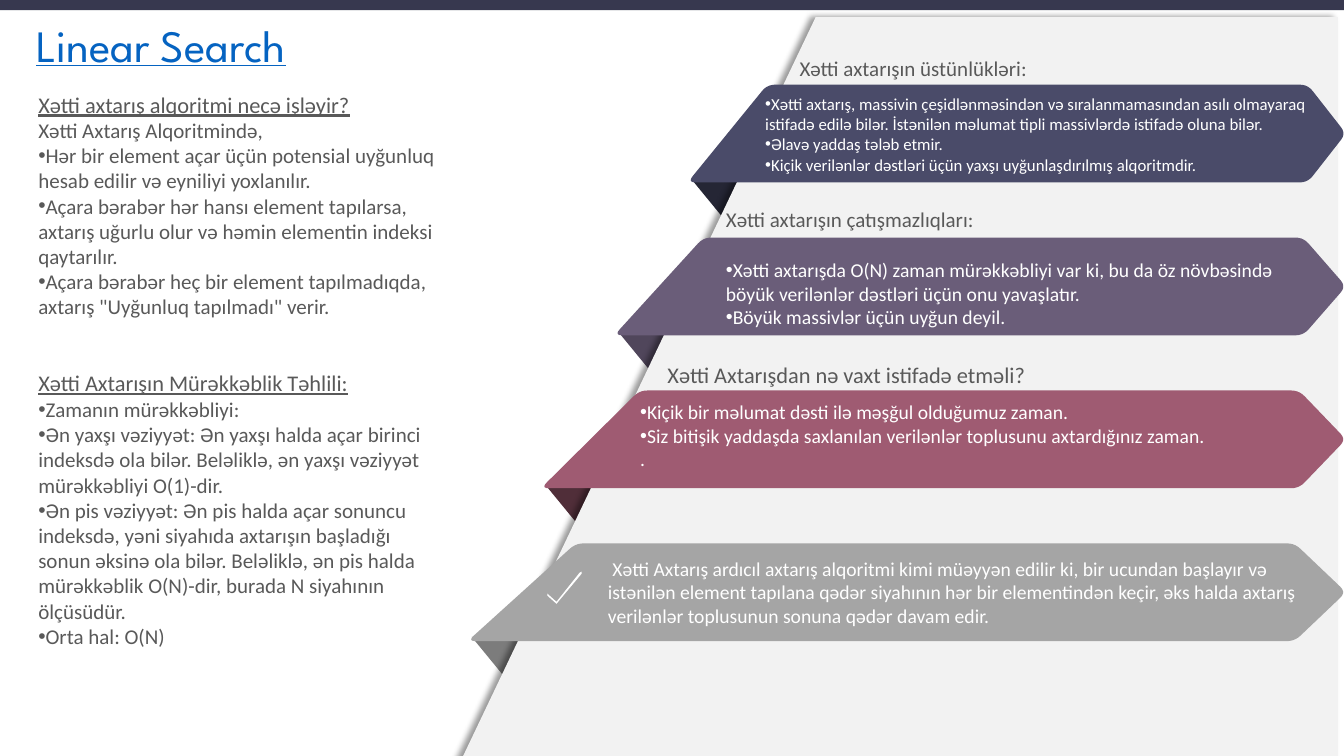
from dataclasses import dataclass

from lxml import etree
from pptx import Presentation
from pptx.dml.color import RGBColor
from pptx.enum.shapes import MSO_SHAPE
from pptx.enum.text import MSO_ANCHOR, MSO_AUTO_SIZE, PP_ALIGN
from pptx.oxml.ns import qn
from pptx.util import Inches, Pt

RECT = MSO_SHAPE.RECTANGLE
TOP = MSO_ANCHOR.TOP
LEFT = PP_ALIGN.LEFT
FIXED = MSO_AUTO_SIZE.NONE

COLORS = {
    "bar": "37384F", "panel": "F2F2F2", "title": "0563C1",
    "gray": "595959", "white": "FFFFFF", "black": "000000",
    "navy": "4A4B69", "purple": "6A5D79", "rose": "9F5B72", "silver": "A5A5A5",
    "navy fold": "252635", "purple fold": "50465B",
    "rose fold": "502E39", "silver fold": "7C7C7C",
}
Point = tuple[float, float]
Box = tuple[float, float, float, float]


@dataclass
class Line:
    text: str
    size: float
    bullet: bool = False
    under: bool = False
    before: float = 0


@dataclass
class Block:
    box: Box
    lines: list[Line]
    color: str


def bullets(size: float, *texts: str) -> list[Line]:
    return [Line(text, size, bullet=True) for text in texts]


BANDS = ["navy", "purple", "rose", "silver"]
BLOCKS = [
    Block((0.38, 0.9, 4.01, 6.28), [
        Line("Xətti axtarış alqoritmi necə işləyir?", 16, under=True),
        Line("Xətti Axtarış Alqoritmində,", 15),
        *bullets(
            15,
            "Hər bir element açar üçün potensial uyğunluq hesab edilir və eyniliyi yoxlanılır.",
            "Açara bərabər hər hansı element tapılarsa, axtarış uğurlu olur və həmin "
            "elementin indeksi qaytarılır.",
            "Açara bərabər heç bir element tapılmadıqda, axtarış \"Uyğunluq tapılmadı\" verir.",
        ),
        Line("Xətti Axtarışın Mürəkkəblik Təhlili:", 16, under=True, before=36),
        *bullets(
            15,
            "Zamanın mürəkkəbliyi:",
            "Ən yaxşı vəziyyət: Ən yaxşı halda açar birinci indeksdə ola bilər. "
            "Beləliklə, ən yaxşı vəziyyət mürəkkəbliyi O(1)-dir.",
            "Ən pis vəziyyət: Ən pis halda açar sonuncu indeksdə, yəni siyahıda axtarışın "
            "başladığı sonun əksinə ola bilər. Beləliklə, ən pis halda mürəkkəblik "
            "O(N)-dir, burada N siyahının ölçüsüdür.",
            "Orta hal: O(N)",
        ),
    ], "gray"),
    Block((7.93, 0.55, 3.57, 0.27), [Line("Xətti axtarışın üstünlükləri:", 15)], "gray"),
    Block((7.59, 0.93, 5.66, 0.85), bullets(
        12,
        "Xətti axtarış, massivin çeşidlənməsindən və sıralanmamasından asılı olmayaraq "
        "istifadə edilə bilər. İstənilən məlumat tipli massivlərdə istifadə oluna bilər.",
        "Əlavə yaddaş tələb etmir.",
        "Kiçik verilənlər dəstləri üçün yaxşı uyğunlaşdırılmış alqoritmdir.",
    ), "white"),
    Block((7.2, 2.05, 5.75, 0.27), [Line("Xətti axtarışın çatışmazlıqları:", 15)], "gray"),
    Block((7.2, 2.56, 5.75, 0.72), bullets(
        14,
        "Xətti axtarışda O(N) zaman mürəkkəbliyi var ki, bu da öz növbəsində böyük "
        "verilənlər dəstləri üçün onu yavaşlatır.",
        "Böyük massivlər üçün uyğun deyil.",
    ), "white"),
    Block((6.62, 3.58, 4, 0.28),
          [Line("Xətti Axtarışdan nə vaxt istifadə etməli?", 16)], "gray"),
    Block((6.35, 3.97, 6.02, 0.71), [
        *bullets(
            14,
            "Kiçik bir məlumat dəsti ilə məşğul olduğumuz zaman.",
            "Siz bitişik yaddaşda saxlanılan verilənlər toplusunu axtardığınız zaman.",
        ),
        Line(".", 14),
    ], "white"),
    Block((6.03, 5.52, 7.08, 0.71), [
        Line(" Xətti Axtarış ardıcıl axtarış alqoritmi kimi müəyyən edilir ki, bir ucundan "
             "başlayır və istənilən element tapılana qədər siyahının hər bir elementindən "
             "keçir, əks halda axtarış verilənlər toplusunun sonuna qədər davam edir.", 14),
    ], "white"),
]


def paint(shape, color: str) -> None:
    shape.fill.solid()
    shape.fill.fore_color.rgb = RGBColor.from_string(COLORS[color])
    shape.line.fill.background()
    shape.shadow.inherit = False


def draw(shapes, points: list[Point], color: str):
    spots = [(Inches(x), Inches(y)) for x, y in points]
    pen = shapes.build_freeform(*spots[0])
    pen.add_line_segments(spots[1:], close=True)
    shape = pen.convert_to_shape()
    paint(shape, color)
    return shape


def toward(start: Point, end: Point, reach: float) -> Point:
    dx, dy = end[0] - start[0], end[1] - start[1]
    part = reach / (dx * dx + dy * dy) ** 0.5
    return start[0] + dx * part, start[1] + dy * part


def soften(corners: list[Point], reach: float = 0.08, steps: int = 5) -> list[Point]:
    points = []
    for i, mid in enumerate(corners):
        first = toward(mid, corners[i - 1], reach)
        last = toward(mid, corners[(i + 1) % len(corners)], reach)
        for step in range(steps + 1):
            t = step / steps
            points.append(tuple(
                (1 - t) ** 2 * a + 2 * t * (1 - t) * b + t * t * c
                for a, b, c in zip(first, mid, last)
            ))
    return points


def add_shade(shape) -> None:
    effects = shape._element.spPr.find(qn("a:effectLst"))
    shade = etree.SubElement(effects, qn("a:outerShdw"), blurRad=str(Pt(4)),
                             dist=str(Pt(3)), dir="10800000", algn="r", rotWithShape="0")
    tint = etree.SubElement(shade, qn("a:srgbClr"), val=COLORS["black"])
    etree.SubElement(tint, qn("a:alpha"), val="40000")


def add_bullet(para) -> None:
    props = para._p.get_or_add_pPr()
    props.set("marL", "0")
    props.set("indent", "0")
    etree.SubElement(props, qn("a:buFont"), typeface="Arial")
    etree.SubElement(props, qn("a:buChar"), char="•")


def prepare(frame) -> None:
    frame.margin_left = frame.margin_right = frame.margin_top = frame.margin_bottom = 0
    frame.word_wrap = True
    frame.auto_size = FIXED
    frame.vertical_anchor = TOP


def style(para, face: str, size: float, color: str, under: bool) -> None:
    para.alignment = LEFT
    font = para.runs[0].font
    font.name, font.size, font.underline = face, Pt(size), under
    font.color.rgb = RGBColor.from_string(COLORS[color])


def write(shapes, block: Block) -> None:
    frame = shapes.add_textbox(*map(Inches, block.box)).text_frame
    prepare(frame)
    frame.text = "\n".join(line.text for line in block.lines)
    for para, line in zip(frame.paragraphs, block.lines):
        style(para, "Calibri", line.size, block.color, line.under)
        para.space_before = Pt(line.before)
        if line.bullet:
            add_bullet(para)


def main() -> None:
    deck = Presentation()
    deck.slide_width, deck.slide_height = Inches(13.33), Inches(7.5)
    slide = deck.slides.add_slide(deck.slide_layouts[5])
    shapes = slide.shapes

    paint(shapes.add_shape(RECT, 0, 0, deck.slide_width, Inches(0.1)), "bar")

    title = shapes.title
    title.left, title.top, title.width, title.height = map(Inches, (0.36, 0.18, 4.23, 0.54))
    title.text_frame.text = "Linear Search"
    prepare(title.text_frame)
    style(title.text_frame.paragraphs[0], "League Spartan", 32, "title", True)

    for i, band in enumerate(BANDS):
        x, y = 6.86 - 0.727 * i, 1.78 + 1.513 * i
        draw(shapes, [(x, y), (x + 0.32, y + 0.39), (x + 0.5, y)], f"{band} fold")

    panel = draw(shapes, [(8.09, 0.17), (13.27, 0.17), (13.27, 7.59), (4.55, 7.59)], "panel")
    add_shade(panel)

    for i, band in enumerate(BANDS):
        top = 0.84 + 1.517 * i
        base = top + 0.97
        bend = 12.97 - 0.043 * i
        corners = [(7.61 - 0.633 * i, top), (bend, top), (13.35, top + 0.485),
                   (bend, base), (6.82 - 0.727 * i, base)]
        draw(shapes, soften(corners), band)

    draw(shapes, [(5.52, 5.99), (5.43, 5.91), (5.43, 5.89), (5.52, 5.97),
                  (5.75, 5.68), (5.77, 5.67), (5.77, 5.69)], "white")

    for block in BLOCKS:
        write(shapes, block)

    deck.save("out.pptx")


if __name__ == "__main__":
    main()
